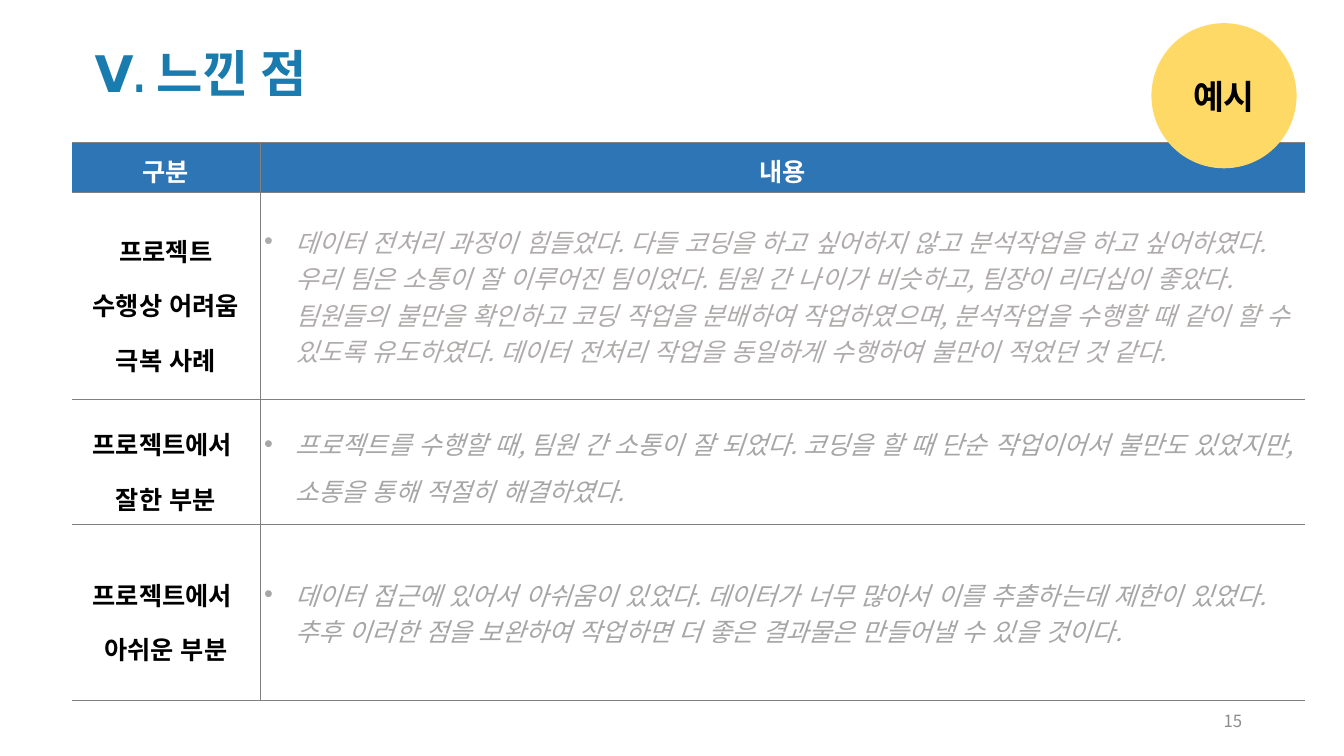
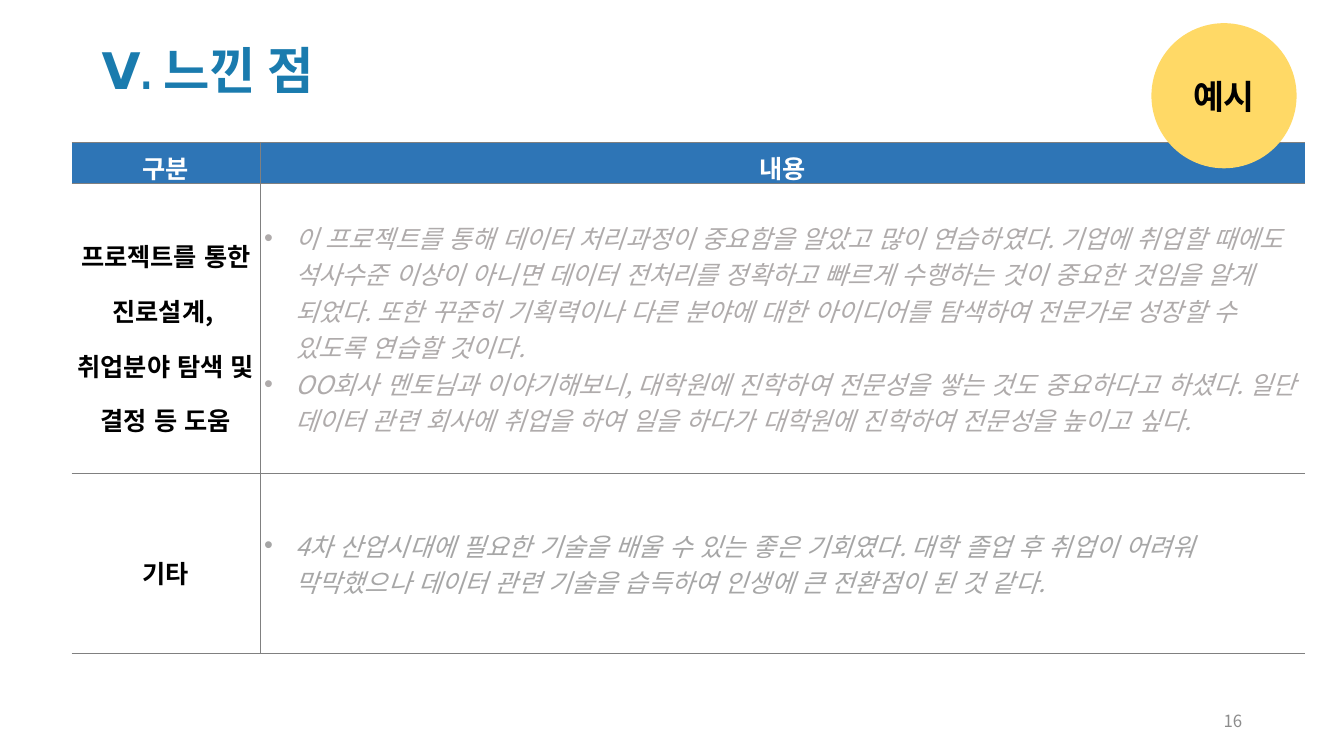
from dataclasses import dataclass

from lxml import etree
from pptx import Presentation, util as u
from pptx.dml.color import RGBColor
from pptx.enum import lang, shapes, text
from pptx.oxml import ns

EMU_PER_PX = 9144  # 100 px to the inch


def px(length: int) -> u.Emu:
    return u.Emu(length * EMU_PER_PX)


@dataclass(frozen=True)
class Theme:
    title_font: str = "Arial Narrow"
    body_font: str = "Noto Sans CJK KR"
    title: str = "1A7BAE"
    header: str = "2E75B6"
    badge: str = "FFD966"
    rule: str = "808080"
    page: str = "8C8C8C"
    warm_gray: str = "AFABAB"
    gray: str = "A6A6A6"
    black: str = "000000"
    white: str = "FFFFFF"
    title_size: int = 36
    badge_size: int = 24
    table_size: int = 18
    page_size: int = 12
    rule_width: float = 0.5


THEME = Theme()


@dataclass(frozen=True)
class Row:
    height: int
    topic: list[str]
    remarks: list[str]
    color: str = THEME.gray
    spacing: float | None = None


@dataclass(frozen=True)
class Page:
    number: int
    title_left: int
    title_top: int
    header_height: int
    rows: list[Row]


PAGES = [
    Page(15, 84, 37, 50, [
        Row(205, ["프로젝트", "수행상 어려움 극복 사례"], [
            "데이터 전처리 과정이 힘들었다. 다들 코딩을 하고 싶어하지 않고 분석작업을 하고 싶어하였다. "
            "우리 팀은 소통이 잘 이루어진 팀이었다. 팀원 간 나이가 비슷하고, 팀장이 리더십이 좋았다. "
            "팀원들의 불만을 확인하고 코딩 작업을 분배하여 작업하였으며, 분석작업을 수행할 때 같이 할 수 있도록 "
            "유도하였다. 데이터 전처리 작업을 동일하게 수행하여 불만이 적었던 것 같다."],
            color=THEME.warm_gray),
        Row(124, ["프로젝트에서 ", "잘한 부분"], [
            "프로젝트를 수행할 때, 팀원 간 소통이 잘 되었다. 코딩을 할 때 단순 작업이어서 불만도 "
            "있었지만, 소통을 통해 적절히 해결하였다."],
            spacing=1.3),
        Row(175, ["프로젝트에서 ", "아쉬운 부분"], [
            "데이터 접근에 있어서 아쉬움이 있었다. 데이터가 너무 많아서 이를 추출하는데 제한이 있었다. "
            "추후 이러한 점을 보완하여 작업하면 더 좋은 결과물은 만들어낼 수 있을 것이다."]),
    ]),
    Page(16, 91, 34, 41, [
        Row(288, ["프로젝트를 통한 진로설계, ", "취업분야 탐색 및 결정 등 도움"], [
            "이 프로젝트를 통해 데이터 처리과정이 중요함을 알았고 많이 연습하였다. 기업에 취업할 때에도 "
            "석사수준 이상이 아니면 데이터 전처리를 정확하고 빠르게 수행하는 것이 중요한 것임을 알게 되었다. "
            "또한 꾸준히 기획력이나 다른 분야에 대한 아이디어를 탐색하여 전문가로 성장할 수 있도록 연습할 것이다.",
            "OO회사 멘토님과 이야기해보니, 대학원에 진학하여 전문성을 쌓는 것도 중요하다고 하셨다. "
            "일단 데이터 관련 회사에 취업을 하여 일을 하다가 대학원에 진학하여 전문성을 높이고 싶다."],
            color=THEME.warm_gray),
        Row(178, ["기타"], [
            "4차 산업시대에 필요한 기술을 배울 수 있는 좋은 기회였다. 대학 졸업 후 취업이 어려워 "
            "막막했으나 데이터 관련 기술을 습득하여 인생에 큰 전환점이 된 것 같다."]),
    ]),
]

COLUMNS = (187, 1036)
BULLET_INDENT = 31


def write(frame, paragraphs: list[str], *, size: int, color: str,
          font: str = THEME.body_font, bold: bool = False, italic: bool = False,
          align=text.PP_ALIGN.LEFT, spacing: float | None = None,
          bullet: bool = False) -> None:
    """Fill a text frame, one paragraph for each string."""
    frame.word_wrap = True
    for index, words in enumerate(paragraphs):
        paragraph = frame.add_paragraph() if index else frame.paragraphs[0]
        paragraph.alignment = align
        paragraph.line_spacing = spacing
        run = paragraph.add_run()
        run.text = words
        run.font.size = u.Pt(size)
        run.font.name = font
        run.font.bold = bold
        run.font.italic = italic
        run.font.color.rgb = RGBColor.from_string(color)
        run.font.language_id = lang.MSO_LANGUAGE_ID.KOREAN
        # Hangul takes its face from the East Asian font
        latin = run.font._element.find(ns.qn("a:latin"))
        east_asian = etree.Element(ns.qn("a:ea"), typeface=font)
        latin.addnext(east_asian)
        if bullet:
            properties = paragraph._p.get_or_add_pPr()
            properties.set("marL", str(px(BULLET_INDENT)))
            properties.set("indent", str(-px(BULLET_INDENT)))
            etree.SubElement(properties, ns.qn("a:buFont"), typeface="Arial")
            etree.SubElement(properties, ns.qn("a:buChar"), char="•")


def rule_cell(cell, ruled_sides: str) -> None:
    """Draw the named sides (L, R, T, B) and clear the others."""
    properties = cell._tc.get_or_add_tcPr()
    for side in "LRTB":
        edge = etree.SubElement(properties, ns.qn(f"a:ln{side}"),
                                w=str(u.Pt(THEME.rule_width)))
        if side in ruled_sides:
            fill = etree.SubElement(edge, ns.qn("a:solidFill"))
            etree.SubElement(fill, ns.qn("a:srgbClr"), val=THEME.rule)
        else:
            etree.SubElement(edge, ns.qn("a:noFill"))


def fill_cell(cell, column: int, paragraphs: list[str], *,
              background: str | None = None, left: int = 0, **style) -> None:
    rule_cell(cell, "LTB" if column else "RTB")
    if background:
        cell.fill.solid()
        cell.fill.fore_color.rgb = RGBColor.from_string(background)
    else:
        cell.fill.background()
    cell.margin_left = px(left)
    cell.margin_right = cell.margin_top = cell.margin_bottom = 0
    cell.vertical_anchor = text.MSO_ANCHOR.MIDDLE
    write(cell.text_frame, paragraphs, size=THEME.table_size, **style)


def add_review_table(slide, page: Page) -> None:
    heights = [page.header_height, *(row.height for row in page.rows)]
    review = slide.shapes.add_table(
        len(heights), len(COLUMNS), px(71), px(141),
        px(sum(COLUMNS)), px(sum(heights))).table
    review.first_row = review.horz_banding = False
    for column, width in enumerate(COLUMNS):
        review.columns[column].width = px(width)
    for index, height in enumerate(heights):
        review.rows[index].height = px(height)

    heading = dict(bold=True, align=text.PP_ALIGN.CENTER)
    for column, label in enumerate(("구분", "내용")):
        fill_cell(review.cell(0, column), column, [label], background=THEME.header,
                  color=THEME.white, spacing=1.2, **heading)
    for index, row in enumerate(page.rows, start=1):
        fill_cell(review.cell(index, 0), 0, row.topic,
                  color=THEME.black, spacing=1.5, **heading)
        fill_cell(review.cell(index, 1), 1, row.remarks, left=4, color=row.color,
                  italic=True, spacing=row.spacing, bullet=True)


def add_title(slide, page: Page) -> None:
    title = slide.shapes.add_textbox(
        px(page.title_left), px(page.title_top), px(744), px(71)).text_frame
    title.auto_size = text.MSO_AUTO_SIZE.SHAPE_TO_FIT_TEXT
    write(title, ["Ⅴ. 느낀 점"], size=THEME.title_size, color=THEME.title,
          font=THEME.title_font, bold=True)


def add_page_number(slide, number: int) -> None:
    footer = slide.shapes.add_textbox(px(942), px(695), px(300), px(40)).text_frame
    footer.vertical_anchor = text.MSO_ANCHOR.MIDDLE
    write(footer, [str(number)], size=THEME.page_size, color=THEME.page,
          align=text.PP_ALIGN.RIGHT)


def add_badge(slide) -> None:
    badge = slide.shapes.add_shape(
        shapes.MSO_SHAPE.OVAL, px(1142), px(23), px(144), px(144))
    badge.shadow.inherit = False
    badge.fill.solid()
    badge.fill.fore_color.rgb = RGBColor.from_string(THEME.badge)
    badge.line.fill.background()
    badge.text_frame.vertical_anchor = text.MSO_ANCHOR.MIDDLE
    write(badge.text_frame, ["예시"], size=THEME.badge_size, color=THEME.black,
          bold=True, align=text.PP_ALIGN.CENTER)


def main() -> None:
    deck = Presentation()
    deck.slide_width, deck.slide_height = px(1333), px(750)
    blank = deck.slide_layouts[6]
    for page in PAGES:
        slide = deck.slides.add_slide(blank)
        add_title(slide, page)
        add_review_table(slide, page)
        add_page_number(slide, page.number)
        add_badge(slide)
    deck.save("out.pptx")


if __name__ == "__main__":
    main()
